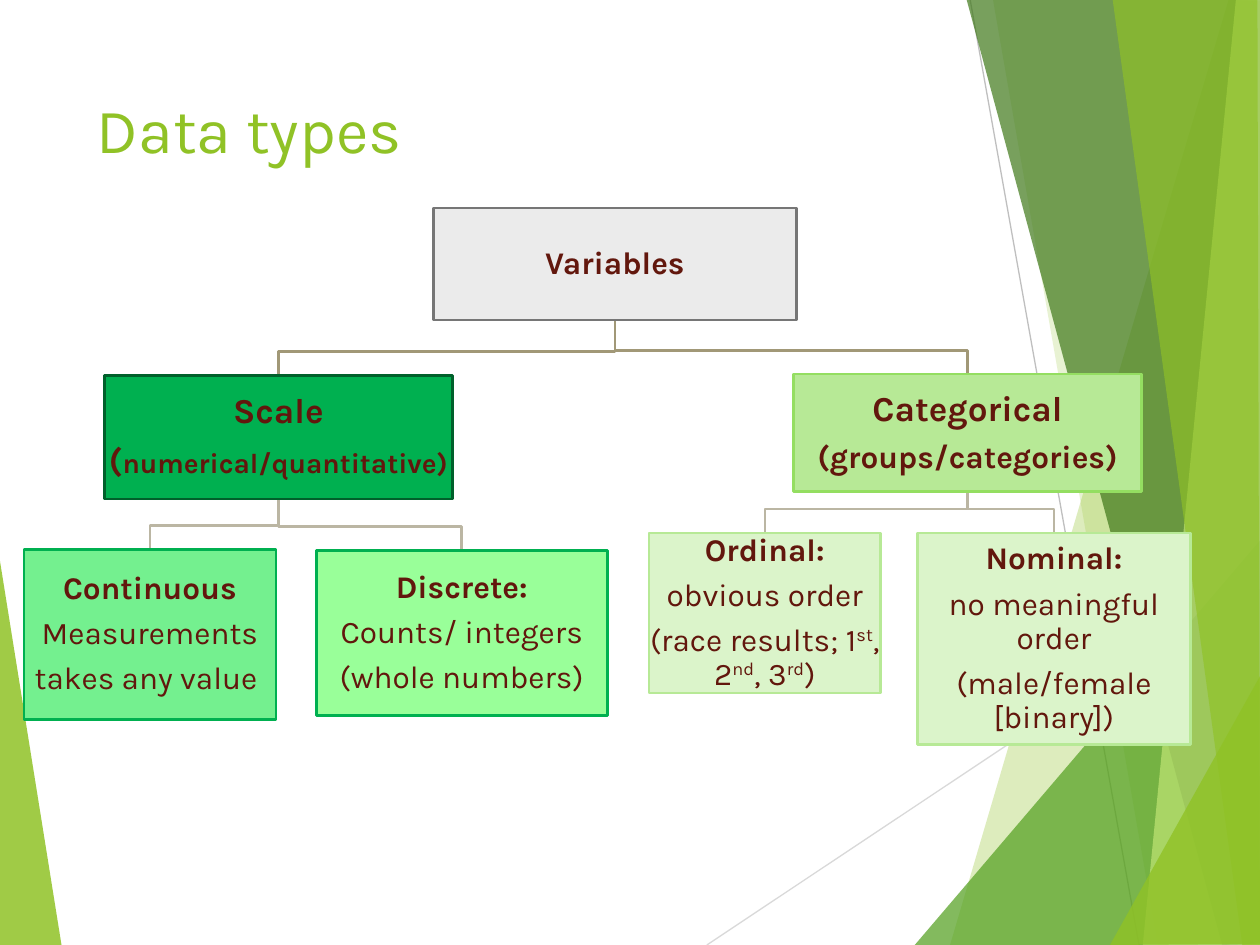
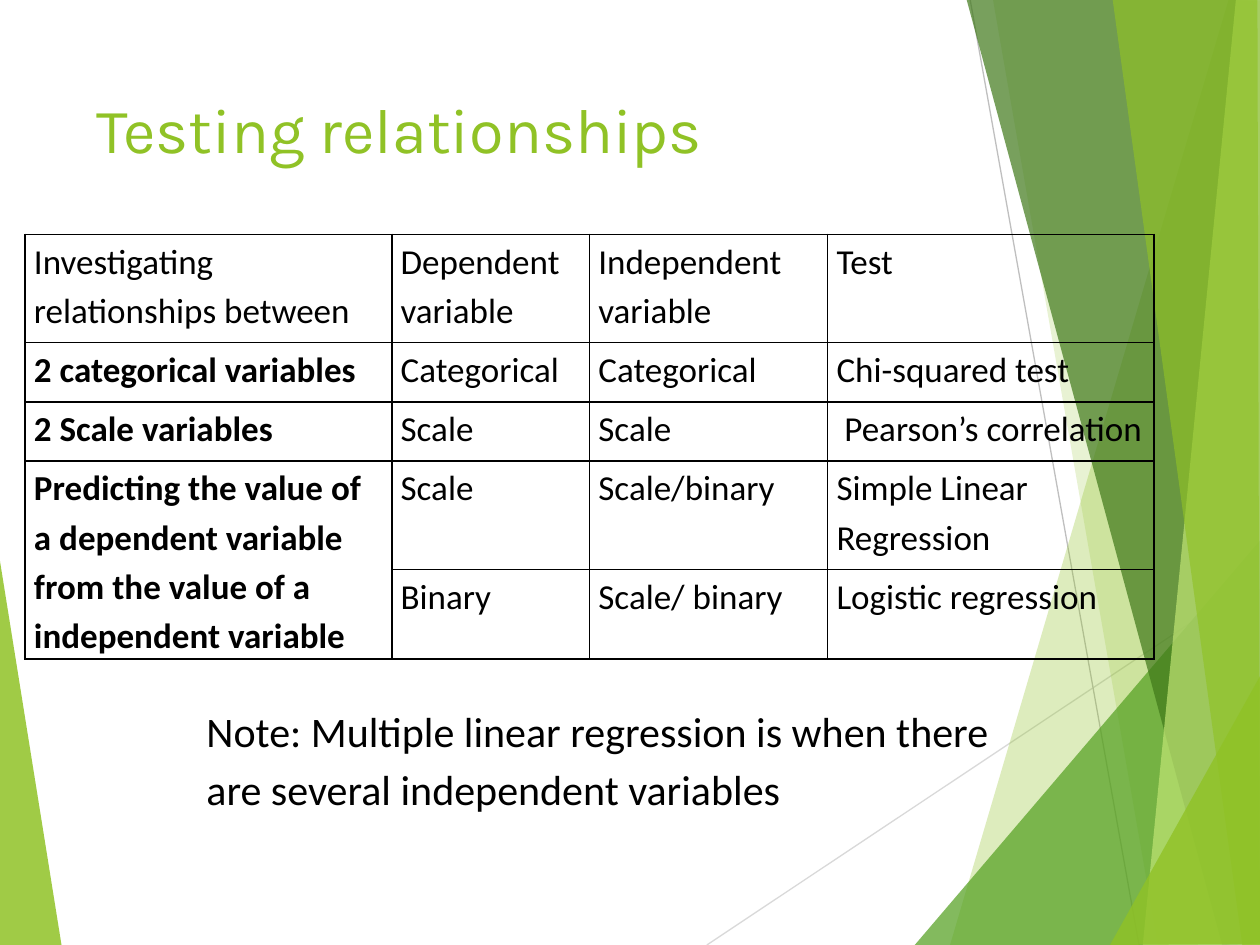
"""Build two slides on data types and on testing relationships."""
import collections

import lxml.etree
import pptx
import pptx.dml.color
import pptx.enum.shapes
import pptx.enum.text
import pptx.oxml.ns
import pptx.util

Inches = pptx.util.Inches
Pt = pptx.util.Pt
RGBColor = pptx.dml.color.RGBColor
qn = pptx.oxml.ns.qn

LIME = RGBColor(0x90, 0xC2, 0x26)
LEAF = RGBColor(0x54, 0xA0, 0x21)
FOREST = RGBColor(0x3F, 0x78, 0x19)
PALE_LIME = RGBColor(0xC0, 0xE4, 0x74)
LIGHT_GREY = RGBColor(0xD9, 0xD9, 0xD9)
MID_GREY = RGBColor(0xBF, 0xBF, 0xBF)
BLACK = RGBColor(0, 0, 0)
MAROON = RGBColor(0x62, 0x17, 0x0D)
UPPER_LINK = RGBColor(0xA1, 0x98, 0x77)
LOWER_LINK = RGBColor(0xBB, 0xB6, 0xA3)
ROOT_FILL = RGBColor(0xEB, 0xEB, 0xEB)
ROOT_EDGE = RGBColor(0x76, 0x76, 0x76)
SCALE_FILL = RGBColor(0x00, 0xB0, 0x50)
SCALE_EDGE = RGBColor(0x00, 0x60, 0x2B)
CONTINUOUS_FILL = RGBColor(0x74, 0xF0, 0x8F)
DISCRETE_FILL = RGBColor(0x99, 0xFF, 0x99)
CATEGORICAL_FILL = RGBColor(0xB7, 0xE9, 0x96)
CATEGORICAL_EDGE = RGBColor(0x94, 0xDE, 0x61)
CATEGORY_KIND_FILL = RGBColor(0xDB, 0xF4, 0xCA)

TITLE_FONT = "Karla"
BODY_FONT = "Calibri"
ELBOW_RISE = 0.19

LEFT_WEDGE = (LIME, 85, [(-0.01, 4.39), (0.49, 7.51), (-0.01, 7.5)])
RIGHT_FACETS = [
    (LIME, 30, [(9.75, 0), (7.54, 7.5), (10.02, 7.51), (10.01, 0.01)]),
    (LIME, 20, [(7.88, -0.01), (9.19, 7.5), (10.01, 7.5), (10.01, -0.01)]),
    (LEAF, 72, [(7.26, 7.5), (10, 4.29), (10.01, 7.5)]),
    (FOREST, 70, [(7.67, -0.01), (9.7, 7.5), (10.01, 7.49), (10.01, -0.01)]),
    (PALE_LIME, 70, [(9.81, -0.01), (9.07, 7.5), (10.01, 7.5), (10, -0.01)]),
    (LIME, 65, [(8.83, -0.01), (9.86, 7.5), (10, 7.5), (9.98, -0.01)]),
    (LIME, 80, [(8.81, 7.5), (10.01, 5.35), (10.01, 7.49)]),
]
RAYS = [
    (LIGHT_GREY, (5.61, 7.5), (10.01, 4.57)),
    (MID_GREY, (7.7, 0), (9.04, 7.5)),
]

Span = collections.namedtuple("Span", "text size bold raised", defaults=(18, False, False))
Node = collections.namedtuple("Node", "left top width height fill edge lines")

NODES = {
    "variables": Node(3.44, 1.65, 2.88, 0.89, ROOT_FILL, ROOT_EDGE,
                      [[Span("Variables", 18, True)]]),
    "scale": Node(0.83, 2.98, 2.76, 0.98, SCALE_FILL, SCALE_EDGE,
                  [[Span("Scale", 20, True)],
                   [Span("(", 20, True), Span("numerical/quantitative)", 16, True)]]),
    "continuous": Node(0.19, 4.36, 2, 1.35, CONTINUOUS_FILL, SCALE_FILL,
                       [[Span("Continuous", 18, True)],
                        [Span("Measurements")],
                        [Span("takes any value ")]]),
    "discrete": Node(2.51, 4.37, 2.31, 1.31, DISCRETE_FILL, SCALE_FILL,
                     [[Span("Discrete:", 18, True)],
                      [Span("Counts/ integers")],
                      [Span("(whole numbers)")]]),
    "categorical": Node(6.3, 2.97, 2.76, 0.93, CATEGORICAL_FILL, CATEGORICAL_EDGE,
                        [[Span("Categorical", 20, True)],
                         [Span("(groups/categories)", 18, True)]]),
    "ordinal": Node(5.15, 4.23, 1.84, 1.27, CATEGORY_KIND_FILL, CATEGORICAL_FILL,
                    [[Span("Ordinal:", 18, True)],
                     [Span("obvious order")],
                     [Span("(race results; 1"), Span("st", raised=True),
                      Span(", 2"), Span("nd", raised=True),
                      Span(", 3"), Span("rd", raised=True), Span(")")]]),
    "nominal": Node(7.28, 4.23, 2.17, 1.68, CATEGORY_KIND_FILL, CATEGORICAL_FILL,
                    [[Span("Nominal:", 18, True)],
                     [Span("no meaningful order")],
                     [Span("(male/female [binary])")]]),
}
LINKS = [
    ("categorical", "nominal", LOWER_LINK),
    ("categorical", "ordinal", LOWER_LINK),
    ("variables", "categorical", UPPER_LINK),
    ("scale", "discrete", LOWER_LINK),
    ("scale", "continuous", LOWER_LINK),
    ("variables", "scale", UPPER_LINK),
]

COLUMN_WIDTHS = [2.91, 1.57, 1.89, 2.59]
ROW_HEIGHTS = [0.86, 0.47, 0.47, 0.86, 0.71]
TEST_ROWS = [
    ["Investigating relationships between", "Dependent variable", "Independent variable", "Test"],
    ["2 categorical variables", "Categorical", "Categorical", "Chi-squared test"],
    ["2 Scale variables", "Scale", "Scale", "\N{NO-BREAK SPACE}Pearson’s correlation"],
    ["Predicting the value of a dependent variable from the value of a independent variable",
     "Scale", "Scale/binary", "Simple Linear Regression"],
    ["", "Binary", "Scale/ binary", "Logistic regression"],
]


def add_outline(page, points, closed):
    """Draw straight segments through points given in inches."""
    corners = [(Inches(x), Inches(y)) for x, y in points]
    builder = page.shapes.build_freeform(*corners[0])
    builder.add_line_segments(corners[1:], close=closed)
    shape = builder.convert_to_shape()
    shape.shadow.inherit = False
    return shape


def add_facet(page, color, opacity, points):
    """Draw one see-through polygon of the background."""
    facet = add_outline(page, points, True)
    facet.fill.solid()
    facet.fill.fore_color.rgb = color
    facet.line.fill.background()
    tint = facet.fill._xPr.find(qn("a:solidFill"))[0]
    lxml.etree.SubElement(tint, qn("a:alpha")).set("val", str(opacity * 1000))


def add_ray(page, color, start, end):
    """Draw one thin background line."""
    ray = page.shapes.add_connector(
        pptx.enum.shapes.MSO_CONNECTOR.STRAIGHT, *map(Inches, start + end))
    ray.line.color.rgb = color
    ray.line.width = Pt(0.75)
    lxml.etree.SubElement(ray._element.spPr, qn("a:effectLst"))


def style_paragraph(para, font_name, size, color, bold=False):
    """Format every run of a paragraph alike."""
    for run in para.runs:
        run.font.name = font_name
        run.font.size = Pt(size)
        run.font.color.rgb = color
        run.font.bold = bold


def style_body(para, size, bold=False):
    """Format a paragraph of the table or the note."""
    para.line_spacing = 1.15
    para.space_after = Pt(6)
    style_paragraph(para, BODY_FONT, size, BLACK, bold)


def add_text_box(page, text, left, top, width, height):
    """Add a wrapping text box and return its first paragraph."""
    box = page.shapes.add_textbox(*map(Inches, (left, top, width, height)))
    box.text_frame.word_wrap = True
    box.text_frame.text = text
    return box.text_frame.paragraphs[0]


def add_page(deck, title):
    """Add a slide with the shared background and title."""
    page = deck.slides.add_slide(deck.slide_layouts[6])
    add_facet(page, *LEFT_WEDGE)
    for ray in RAYS:
        add_ray(page, *ray)
    for facet in RIGHT_FACETS:
        add_facet(page, *facet)
    para = add_text_box(page, title, 0.67, 0.67, 6.94, 1.44)
    style_paragraph(para, TITLE_FONT, 36, LIME)
    return page


def add_link(page, parent, child, color):
    """Draw an elbow line from the foot of a parent to the top of a child."""
    start = parent.left + parent.width / 2
    end = child.left + child.width / 2
    elbow = child.top - ELBOW_RISE
    points = [(start, parent.top + parent.height), (start, elbow), (end, elbow), (end, child.top)]
    link = add_outline(page, points, False)
    link.fill.background()
    link.line.color.rgb = color
    link.line.width = Pt(1.5)


def write_node_line(para, spans):
    """Write one centred line of a node from its spans."""
    para.alignment = pptx.enum.text.PP_ALIGN.CENTER
    para.line_spacing = 0.9
    para.space_after = Pt(0.35 * spans[0].size)
    for span in spans:
        run = para.add_run()
        run.text = span.text
        run.font.name = TITLE_FONT
        run.font.size = Pt(span.size)
        run.font.bold = span.bold
        run.font.color.rgb = MAROON
        if span.raised:
            run.font._element.set("baseline", "30000")


def add_node(page, node):
    """Draw one box of the tree with its text."""
    box = page.shapes.add_shape(
        pptx.enum.shapes.MSO_SHAPE.RECTANGLE,
        *map(Inches, (node.left, node.top, node.width, node.height)))
    box.shadow.inherit = False
    box.fill.solid()
    box.fill.fore_color.rgb = node.fill
    box.line.color.rgb = node.edge
    box.line.width = Pt(1.5)
    frame = box.text_frame
    frame.word_wrap = True
    frame.vertical_anchor = pptx.enum.text.MSO_ANCHOR.MIDDLE
    frame.margin_left = frame.margin_right = Inches(0.01)
    frame.margin_top = frame.margin_bottom = Inches(0.01)
    for index, spans in enumerate(node.lines):
        para = frame.add_paragraph() if index else frame.paragraphs[0]
        write_node_line(para, spans)


def set_borders(cell):
    """Give a cell thin black borders on all sides."""
    properties = cell._tc.get_or_add_tcPr()
    for index, side in enumerate(("lnL", "lnR", "lnT", "lnB")):
        border = lxml.etree.Element(qn("a:" + side), w=str(Pt(1)))
        fill = lxml.etree.SubElement(border, qn("a:solidFill"))
        lxml.etree.SubElement(fill, qn("a:srgbClr"), val=str(BLACK))
        properties.insert(index, border)


def style_cell(cell, bold):
    """Format one cell of the table of tests."""
    cell.fill.background()
    cell.margin_left = cell.margin_right = Inches(0.07)
    cell.margin_top = cell.margin_bottom = 0
    style_body(cell.text_frame.paragraphs[0], 20, bold)
    set_borders(cell)


def add_test_table(page):
    """Add the table that matches variables to tests."""
    frame = page.shapes.add_table(
        len(TEST_ROWS), len(COLUMN_WIDTHS), Inches(0.2), Inches(1.86),
        Inches(sum(COLUMN_WIDTHS)), Inches(sum(ROW_HEIGHTS)))
    table = frame.table
    table.first_row = table.horz_banding = False
    for column, width in zip(table.columns, COLUMN_WIDTHS):
        column.width = Inches(width)
    for row, height in zip(table.rows, ROW_HEIGHTS):
        row.height = Inches(height)
    for row_index, texts in enumerate(TEST_ROWS):
        for column_index, text in enumerate(texts):
            cell = table.cell(row_index, column_index)
            cell.text = text
            style_cell(cell, row_index > 0 and column_index == 0)
    table.cell(3, 0).merge(table.cell(4, 0))


def build_data_types(deck):
    """Build the slide with the tree of data types."""
    page = add_page(deck, "Data types")
    for parent, child, color in LINKS:
        add_link(page, NODES[parent], NODES[child], color)
    for node in NODES.values():
        add_node(page, node)


def build_relationships(deck):
    """Build the slide with the table of tests and its note."""
    page = add_page(deck, "Testing relationships")
    add_test_table(page)
    note = "Note: Multiple linear regression is when there are several independent variables"
    style_body(add_text_box(page, note, 1.54, 5.49, 6.85, 1.03), 24)


def main():
    """Build and save the deck."""
    deck = pptx.Presentation()
    deck.slide_width = Inches(10)
    deck.slide_height = Inches(7.5)
    build_data_types(deck)
    build_relationships(deck)
    deck.save("out.pptx")


if __name__ == "__main__":
    main()
